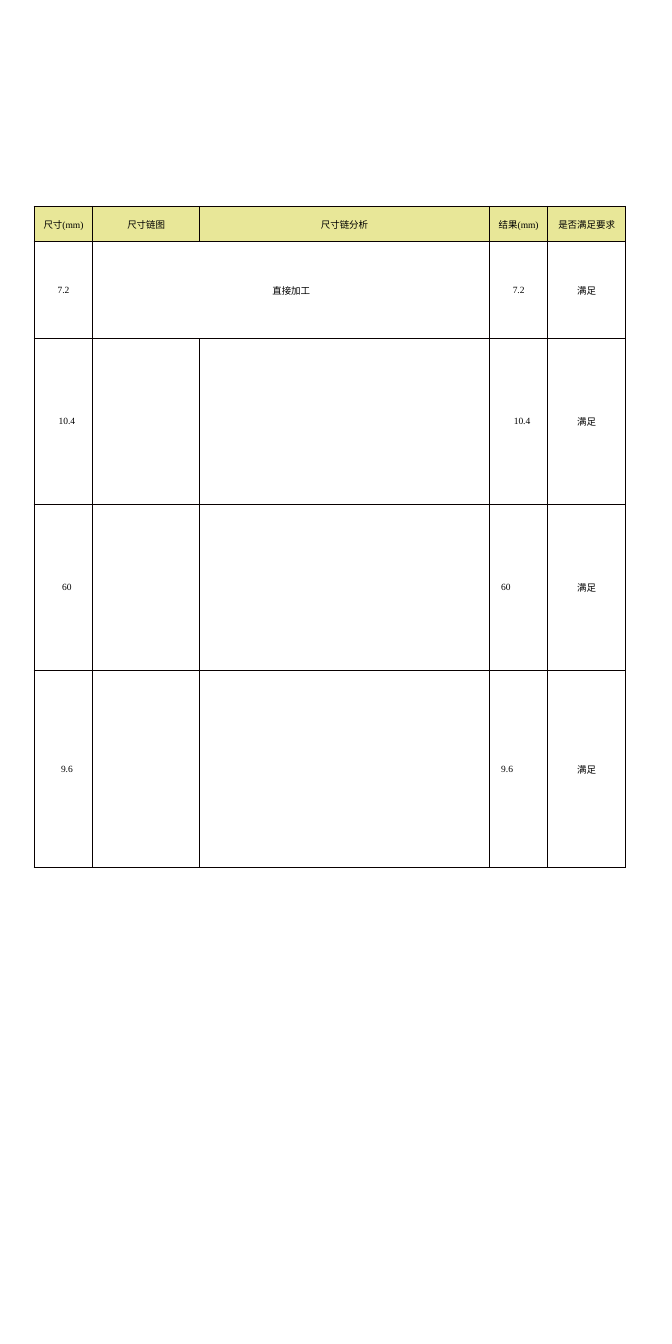
"""Build a slide with a table of dimension chain checks."""
import pptx
import pptx.util
import pptx.dml.color
import pptx.enum.text
import pptx.oxml
import pptx.oxml.ns

Inches = pptx.util.Inches
ALIGN = pptx.enum.text.PP_ALIGN


def color(code):
    return pptx.dml.color.RGBColor.from_string(code)


def border(cell, code):
    props = cell._tc.get_or_add_tcPr()
    for side in ("lnL", "lnR", "lnT", "lnB"):
        props.append(pptx.oxml.parse_xml(
            f'<a:{side} {pptx.oxml.ns.nsdecls("a")} w="12700">'
            f'<a:solidFill><a:srgbClr val="{code}"/></a:solidFill></a:{side}>'))


deck = pptx.Presentation()
deck.slide_width = Inches(9.84)
deck.slide_height = Inches(19.68)
slide = deck.slides.add_slide(deck.slide_layouts[6])

rows = [
    ("尺寸(mm)", "尺寸链图", "尺寸链分析", "结果(mm)", "是否满足要求"),
    ("7.2", "直接加工", "", "7.2", "满足"),
    ("10.4", "", "", "10.4", "满足"),
    ("60", "", "", "60", "满足"),
    ("9.6", "", "", "9.6", "满足"),
]
widths = [0.86, 1.56, 4.25, 0.85, 1.14]
heights = [0.52, 1.42, 2.43, 2.43, 2.88]

frame = slide.shapes.add_table(len(rows), len(widths), Inches(0.5), Inches(3.02),
                               Inches(sum(widths)), Inches(sum(heights)))
table = frame.table
table.first_row = False
table.horz_banding = False
for col, width in zip(table.columns, widths):
    col.width = Inches(width)
for row, height in zip(table.rows, heights):
    row.height = Inches(height)

for r, texts in enumerate(rows):
    for c, text in enumerate(texts):
        cell = table.cell(r, c)
        border(cell, "080000")
        cell.fill.solid()
        cell.fill.fore_color.rgb = color("E8E798" if r == 0 else "FFFFFF")
        cell.vertical_anchor = pptx.enum.text.MSO_ANCHOR.MIDDLE
        shifted = r > 1 and c in (0, 3)
        cell.margin_left = Inches(0.17 if shifted else 0.07)
        cell.margin_right = Inches(0.07)
        cell.margin_top = cell.margin_bottom = 0
        cell.text_frame.text = text
        para = cell.text_frame.paragraphs[0]
        para.alignment = ALIGN.LEFT if r > 2 and c == 3 else ALIGN.CENTER
        for run in para.runs:
            run.font.size = pptx.util.Pt(10)
            run.font.name = "Times New Roman"
            run.font.color.rgb = color("000000")

table.cell(1, 1).merge(table.cell(1, 2))

deck.save("out.pptx")
